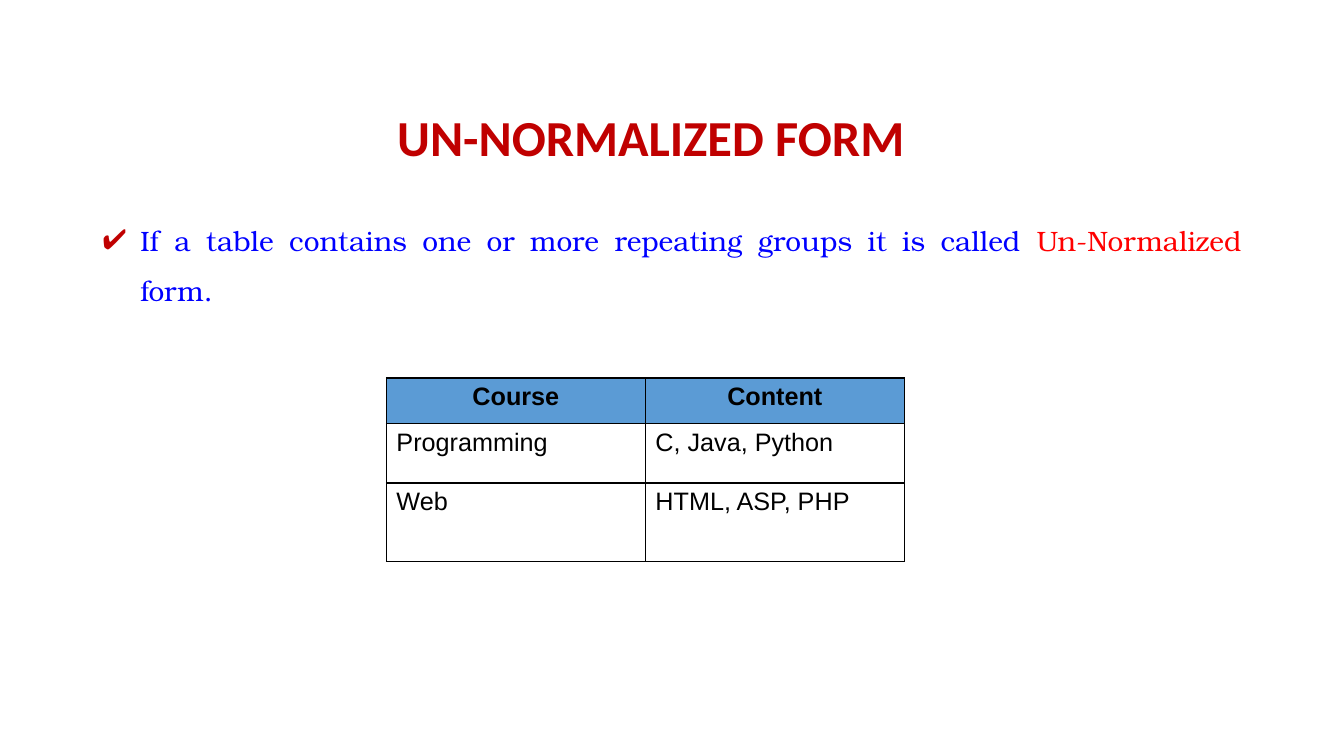
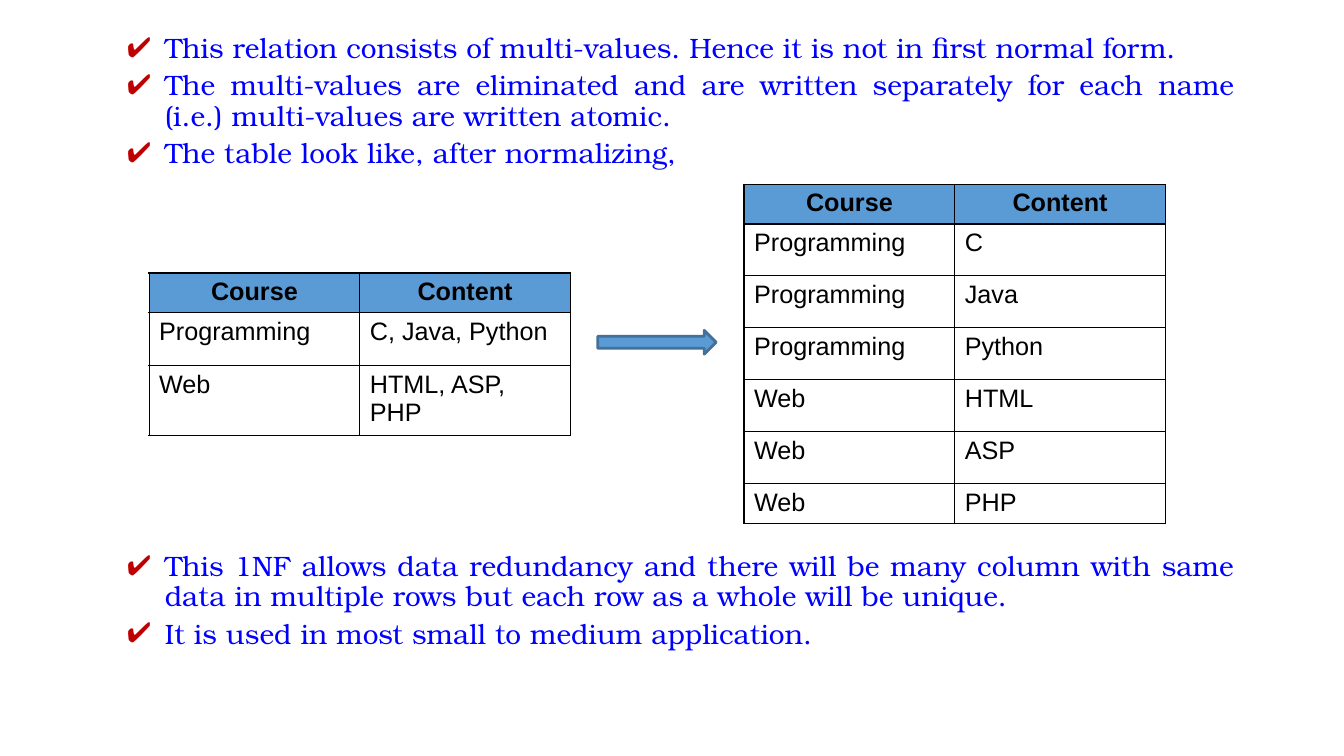
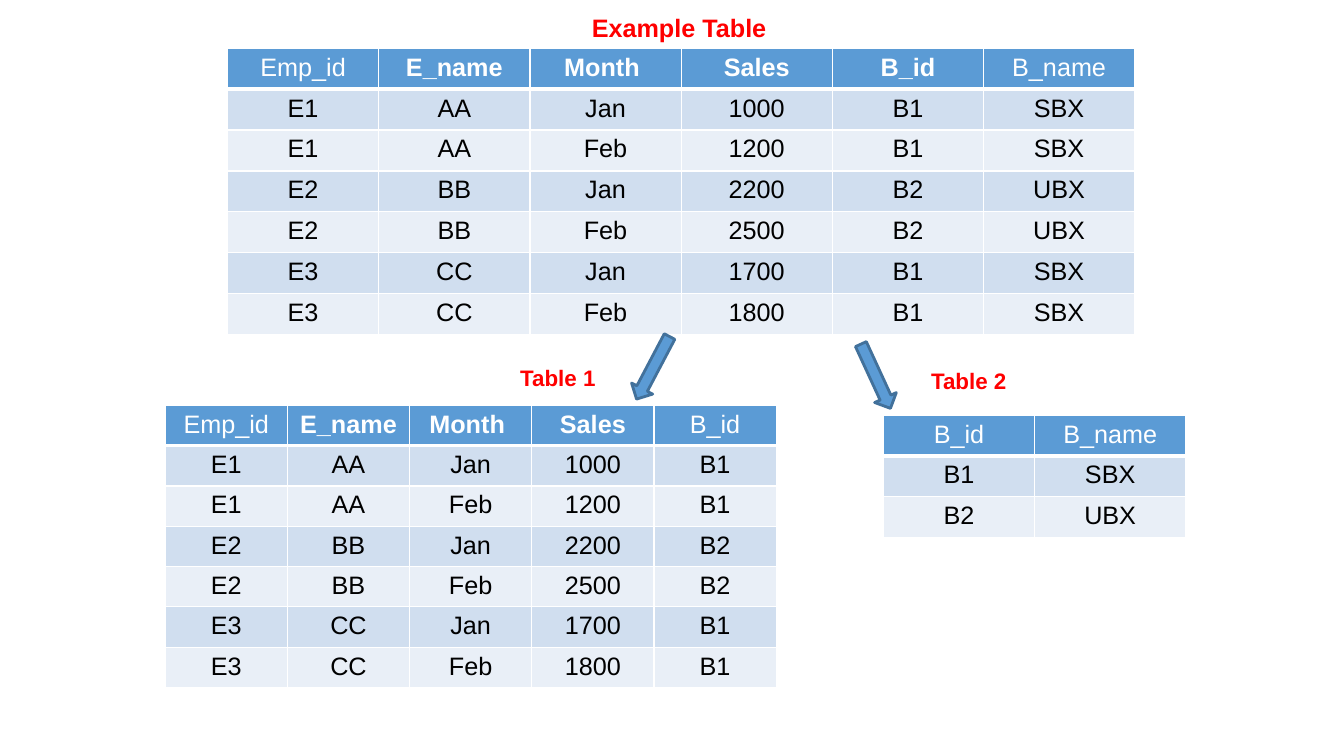
from lxml import etree
from pptx import Presentation
from pptx.dml.color import RGBColor
from pptx.enum.shapes import MSO_SHAPE as SHAPE
from pptx.enum.text import MSO_ANCHOR as ANCHOR, MSO_AUTO_SIZE as AUTO_SIZE, PP_ALIGN as ALIGN
from pptx.oxml.ns import qn
from pptx.util import Pt

BLACK, WHITE, RED, BLUE = "000000", "FFFFFF", "FF0000", "0000FF"
DARK_RED, HEADER, OUTLINE = "C00000", "5B9BD5", "42719B"
BANDS = ("D0DEEF", "E9EFF7")
SANS, SERIF = "Arial", "TeX Gyre Bonum"
TITLE_CONTENT, TWO_CONTENT, TITLE_ONLY = 1, 3, 5

PAIR_HEAD = ["Course", "Content"]
COURSES = {"Programming": ["C", "Java", "Python"], "Web": ["HTML", "ASP", "PHP"]}
UNNORMALIZED = [PAIR_HEAD] + [[k, ", ".join(v)] for k, v in COURSES.items()]
NORMALIZED = [PAIR_HEAD] + [[k, item] for k, v in COURSES.items() for item in v]

EXAMPLE = [
    ["Emp_id", "E_name", "Month ", "Sales", "B_id", "B_name"],
    ["E1", "AA", "Jan", "1000", "B1", "SBX"],
    ["E1", "AA", "Feb", "1200", "B1", "SBX"],
    ["E2", "BB", "Jan", "2200", "B2", "UBX"],
    ["E2", "BB", "Feb", "2500", "B2", "UBX"],
    ["E3", "CC", "Jan", "1700", "B1", "SBX"],
    ["E3", "CC", "Feb", "1800", "B1", "SBX"],
]
EMPLOYEES = [row[:5] for row in EXAMPLE]
BRANCHES = list(dict.fromkeys(tuple(row[4:]) for row in EXAMPLE))


def rgb(color):
    return RGBColor.from_string(color)


def write(p, text, font=SANS, size=18, color=BLACK, bold=False, align=ALIGN.LEFT):
    """Append one formatted run to a paragraph."""
    p.alignment = align
    r = p.add_run()
    r.text = text
    r.font.name, r.font.size, r.font.bold = font, Pt(size), bold
    r.font.color.rgb = rgb(color)


def place(sp, box):
    sp.left, sp.top, sp.width, sp.height = map(Pt, box)
    tf = sp.text_frame
    tf.word_wrap = True
    tf.auto_size = AUTO_SIZE.NONE
    tf.vertical_anchor = ANCHOR.TOP
    return tf


def add_title(s, box, text, **style):
    write(place(s.shapes.title, box).paragraphs[0], text, bold=True, **style)


def add_label(s, box, text):
    tf = place(s.shapes.add_textbox(*map(Pt, box)), box)
    write(tf.paragraphs[0], text, size=16, color=RED, bold=True)


def add_check_bullet(p):
    pPr = p._p.get_or_add_pPr()
    pPr.set("marL", str(Pt(27)))
    pPr.set("indent", str(-Pt(27)))
    clr = etree.SubElement(pPr, qn("a:buClr"))
    etree.SubElement(clr, qn("a:srgbClr"), val=DARK_RED)
    etree.SubElement(pPr, qn("a:buChar"), char="✔")


def fill_list(sp, box, items, spacing=0.9):
    """Write check-marked items, each a list of (text, colour) runs."""
    tf = place(sp, box)
    for i, runs in enumerate(items):
        p = tf.add_paragraph() if i else tf.paragraphs[0]
        add_check_bullet(p)
        p.line_spacing = spacing
        p.space_before = Pt(5 if i else 0)
        for text, color in runs:
            write(p, text, font=SERIF, size=20, color=color, align=ALIGN.JUSTIFY)


def set_borders(cell, color, top=1, bottom=1):
    tcPr = cell._tc.get_or_add_tcPr()
    for i, (side, width) in enumerate((("L", 1), ("R", 1), ("T", top), ("B", bottom))):
        ln = etree.Element(qn("a:ln" + side), w=str(Pt(width)))
        fill = etree.SubElement(ln, qn("a:solidFill"))
        etree.SubElement(fill, qn("a:srgbClr"), val=color)
        tcPr.insert(i, ln)


def add_table(s, x, y, rows, col_width, heights, banded=False):
    """Add a black grid, or a banded table whose outer headings are not bold."""
    n = len(rows[0])
    table = s.shapes.add_table(len(rows), n, Pt(x), Pt(y),
                               Pt(col_width * n), Pt(sum(heights))).table
    table.first_row = table.horz_banding = False
    for col in table.columns:
        col.width = Pt(col_width)
    for i, (row, height) in enumerate(zip(rows, heights)):
        table.rows[i].height = Pt(height)
        head = i == 0
        for j, text in enumerate(row):
            cell = table.cell(i, j)
            body_fill = BANDS[(i - 1) % 2] if banded else WHITE
            cell.fill.solid()
            cell.fill.fore_color.rgb = rgb(HEADER if head else body_fill)
            write(cell.text_frame.paragraphs[0], text,
                  color=WHITE if banded and head else BLACK,
                  bold=head and (not banded or 0 < j < n - 1),
                  align=ALIGN.CENTER if banded or head else ALIGN.LEFT)
            if banded:
                set_borders(cell, WHITE, top=3 if i == 1 else 1, bottom=3 if head else 1)
            else:
                set_borders(cell, BLACK)


def add_arrow(s, kind, box, rotation=0):
    sp = s.shapes.add_shape(kind, *map(Pt, box))
    sp.rotation = rotation
    sp.shadow.inherit = False
    sp.fill.solid()
    sp.fill.fore_color.rgb = rgb(HEADER)
    sp.line.color.rgb = rgb(OUTLINE)
    sp.line.width = Pt(2)


def draw_normalizing(s, box):
    """Draw the repeating groups, an arrow, and the atomic rows in a box."""
    x, y, w, h = box
    col = 150.5
    add_table(s, x, y + 63.5, UNNORMALIZED, col, [28.5, 37.5, 50])
    add_arrow(s, SHAPE.RIGHT_ARROW, (x + 320.5, y + 104.5, 84.5, 17))
    add_table(s, x + w - 2 * col, y, NORMALIZED, col, [28.5] + [37.1] * 5 + [28.5])


def draw_split(s, box):
    """Draw the example table with the two tables it splits into below."""
    x, y, w, h = box
    add_table(s, x + 44.5, y, EXAMPLE, 108, [29.2] * 7, banded=True)
    add_table(s, x, y + 255, EMPLOYEES, 87.3, [28.8] * 7, banded=True)
    add_table(s, x + w - 216, y + 262, BRANCHES, 108, [29.2] * 3, banded=True)
    add_label(s, (x + 246.5, y + 222, 72, 26.5), "Table 1")
    add_label(s, (x + 540, y + 224, 72, 26.5), "Table 2")
    add_arrow(s, SHAPE.DOWN_ARROW, (x + 340, y + 203, 17, 50.5), 27.8)
    add_arrow(s, SHAPE.DOWN_ARROW, (x + 499, y + 209, 17, 50.5), 335.3)


def unnormalized_slide(prs):
    s = prs.slides.add_slide(prs.slide_layouts[TITLE_CONTENT])
    add_title(s, (276.5, 72, 394, 44.5), "UN-NORMALIZED FORM",
              font="Calibri", size=36, color=DARK_RED)
    fill_list(s.placeholders[1], (66, 144, 828, 100), [[
        ("If a table contains one or more repeating groups it is called ", BLUE),
        ("Un-Normalized ", RED),
        ("form.", BLUE),
    ]], spacing=1.5)
    add_table(s, 276, 270, UNNORMALIZED, 185, [32.5, 42.5, 56])


def first_form_slide(prs):
    s = prs.slides.add_slide(prs.slide_layouts[TWO_CONTENT])
    title = s.shapes.title._element
    title.getparent().remove(title)
    steps = [
        "This relation consists of multi-values. Hence it is not in first normal form.",
        "The multi-values are eliminated and are written separately for each name "
        "(i.e.) multi-values are written atomic.",
        "The table look like, after normalizing,",
    ]
    remarks = [
        "This 1NF allows data redundancy and there will be many column with same "
        "data in multiple rows but each row as a whole will be unique.",
        "It is used in most small to medium application.",
    ]
    for idx, y, items in ((1, 21, steps), (2, 391, remarks)):
        fill_list(s.placeholders[idx], (83.5, y, 805.5, 108),
                  [[(text, BLUE)] for text in items])
    draw_normalizing(s, (106.5, 131.5, 726, 243))


def example_slide(prs):
    s = prs.slides.add_slide(prs.slide_layouts[TITLE_ONLY])
    add_title(s, (415.5, 5, 144, 29), "Example Table", color=RED)
    draw_split(s, (118, 34.5, 729, 457))


def main():
    prs = Presentation()
    prs.slide_width, prs.slide_height = Pt(960), Pt(540)
    unnormalized_slide(prs)
    first_form_slide(prs)
    example_slide(prs)
    prs.save("out.pptx")


if __name__ == "__main__":
    main()
